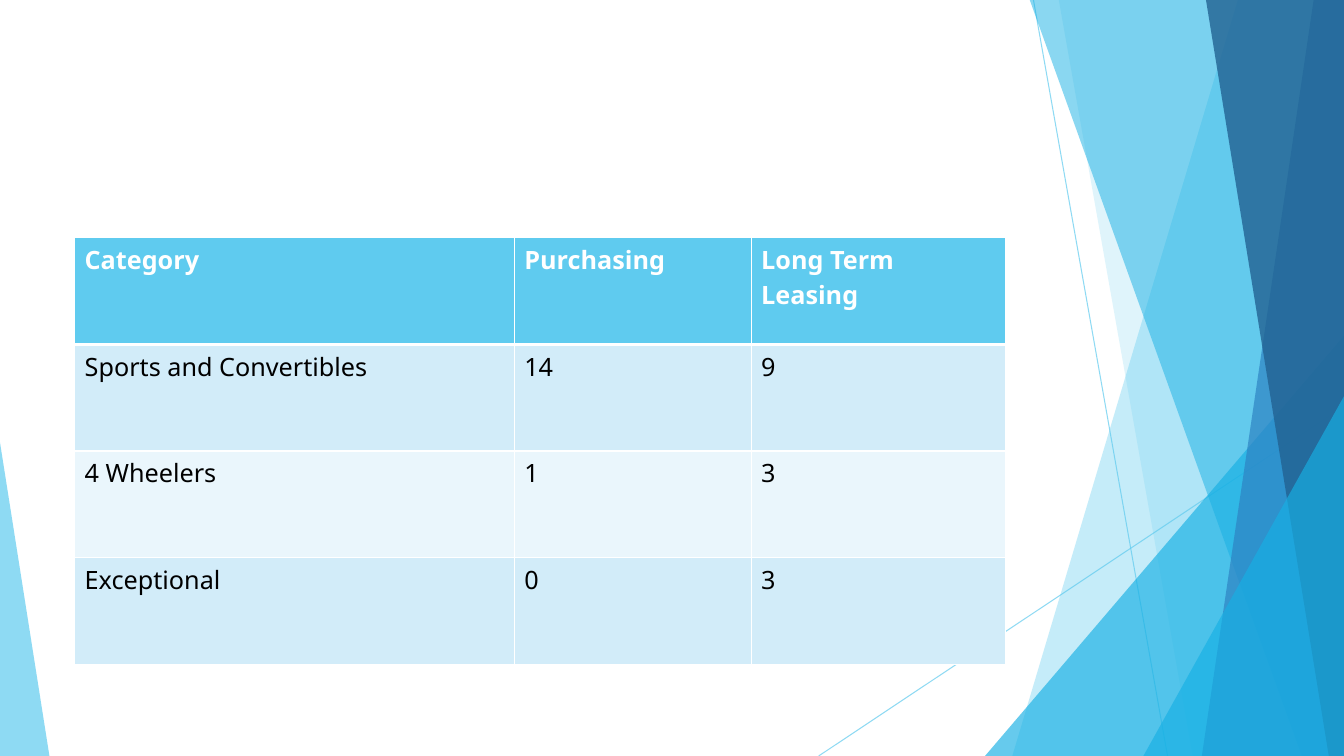
from lxml import etree
from pptx import Presentation
from pptx.dml.color import RGBColor
from pptx.enum import shapes
from pptx.oxml import ns
from pptx.util import Inches, Pt

COLORS = {
    "sky": "5FCBEF", "cyan": "17B0E4", "blue": "2E83C3", "navy": "226292",
    "band": "D2ECF9", "pale": "EAF6FC", "white": "FFFFFF", "black": "000000",
}
WIDTH, HEIGHT, TOP = 13.33, 7.5, -0.01


def rgb(color):
    return RGBColor.from_string(COLORS[color])


def set_opacity(shape, percent):
    tone = shape._element.spPr.find(".//" + ns.qn("a:srgbClr"))
    etree.SubElement(tone, ns.qn("a:alpha"), val=str(percent * 1000))


deck = Presentation()
deck.slide_width, deck.slide_height = Inches(WIDTH), Inches(HEIGHT)
slide = deck.slides.add_slide(deck.slide_layouts[6])

for ends in [(10.25, 0, 11.58, HEIGHT), (WIDTH, 4.03, 8.12, HEIGHT)]:
    ray = slide.shapes.add_connector(shapes.MSO_CONNECTOR.STRAIGHT, *map(Inches, ends))
    ray.line.color.rgb = rgb("sky")
    ray.line.width = Pt(0.75)
    set_opacity(ray, 70)
    etree.SubElement(ray._element.spPr, ns.qn("a:effectLst"))

facets = [
    ("band", (12.28, 10.04), "sky", 36),
    ("band", (10.5, 11.83), "sky", 20),
    ("triangle", (9.77, 3.33, 3.56, 1), "cyan", 66),
    ("band", (10.21, 12.91), "cyan", 50),
    ("band", (13.03, 11.92), "blue", 70),
    ("band", (11.96, 13.18), "navy", 80),
    ("triangle", (11.34, 3.93, 1.99, 1), "cyan", 66),
    ("triangle", (0, 4.39, 0.49, 0), "sky", 70),
]
for outline, geometry, color, opacity in facets:
    if outline == "band":
        top_x, bottom_x = geometry
        corners = [(WIDTH, TOP), (WIDTH, HEIGHT), (bottom_x, HEIGHT)]
        builder = slide.shapes.build_freeform(Inches(top_x), Inches(TOP))
        builder.add_line_segments([(Inches(x), Inches(y)) for x, y in corners])
        facet = builder.convert_to_shape()
    else:
        left, top, width, apex = geometry
        facet = slide.shapes.add_shape(
            shapes.MSO_SHAPE.ISOSCELES_TRIANGLE,
            Inches(left), Inches(top), Inches(width), Inches(HEIGHT - top))
        facet.adjustments[0] = apex
    facet.shadow.inherit = False
    facet.fill.solid()
    facet.fill.fore_color.rgb = rgb(color)
    facet.line.fill.background()
    set_opacity(facet, opacity)

deals = [
    ("Category ", "Purchasing", "Long Term Leasing"),
    ("Sports and Convertibles", "14", "9"),
    ("4 Wheelers", "1", "3"),
    ("Exceptional", "0", "3"),
]
column_widths = [4.36, 2.35, 2.52]
row_fills = ["sky", "band", "pale", "band"]
table = slide.shapes.add_table(
    len(deals), len(column_widths), Inches(0.74), Inches(2.36),
    Inches(sum(column_widths)), Inches(4.23)).table
for column, width in zip(table.columns, column_widths):
    column.width = Inches(width)

for row, entries in enumerate(deals):
    for col, entry in enumerate(entries):
        cell = table.cell(row, col)
        edges = {"lnL": 1, "lnR": 1, "lnT": 3 if row == 1 else 1, "lnB": 3 if row == 0 else 1}
        for edge, points in edges.items():
            border = etree.SubElement(
                cell._tc.get_or_add_tcPr(), ns.qn("a:" + edge), w=str(Pt(points)))
            stroke = etree.SubElement(border, ns.qn("a:solidFill"))
            etree.SubElement(stroke, ns.qn("a:srgbClr"), val=COLORS["white"])
        cell.fill.solid()
        cell.fill.fore_color.rgb = rgb(row_fills[row])
        run = cell.text_frame.paragraphs[0].add_run()
        run.text = entry
        run.font.name = "Noto Sans"
        run.font.size = Pt(18)
        run.font.bold = row == 0
        run.font.color.rgb = rgb("white" if row == 0 else "black")

deck.save("out.pptx")
